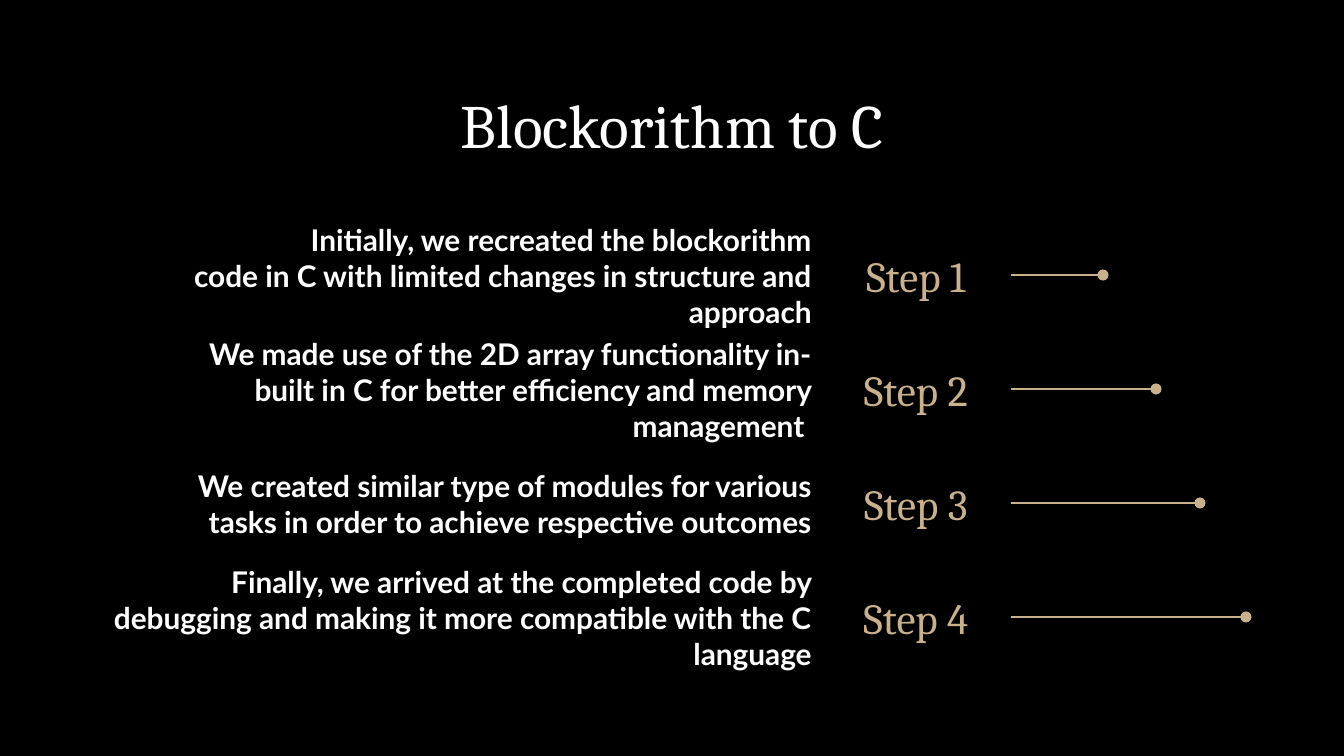
import pptx
import pptx.dml.color
import pptx.enum.shapes
import pptx.enum.text
import pptx.oxml
import pptx.oxml.ns
import pptx.util

PX = 914400 / 134.4  # EMU per px
ALIGN = pptx.enum.text.PP_ALIGN
ANCHOR = pptx.enum.text.MSO_ANCHOR

BLACK, WHITE, GOLD = "000000", "FFFFFF", "C9B18E"

# Layout in px
ROW_PITCH = 114
TEXT_TOP, TEXT_RIGHT, TEXT_HEIGHT = 235, 825, 81
STEP_LEFT, STEP_TOP, STEP_WIDTH, STEP_HEIGHT = 821, 246, 190, 58
LINE_LEFT, LINE_TOP = 1011, 275

# Description, left edge of its box, end of the step's line
STEPS = [
    ("Initially, we recreated the blockorithm\n"
     "code in C with limited changes in structure and approach", 103, 1103),
    ("We made use of the 2D array functionality in-built in C "
     "for better efficiency and memory management ", 152, 1156),
    ("We created similar type of modules for various tasks "
     "in order to achieve respective outcomes", 168, 1200),
    ("Finally, we arrived at the completed code by debugging "
     "and making it more compatible with the C language", 98, 1246),
]


def px(n):
    return pptx.util.Emu(round(n * PX))


def color(value):
    return pptx.dml.color.RGBColor.from_string(value)


def add_text(s, text, left, top, width, height, font, size, fill,
             align=ALIGN.CENTER, anchor=ANCHOR.MIDDLE, bold=False):
    sp = s.shapes.add_textbox(px(left), px(top), px(width), px(height))
    tf = sp.text_frame
    tf.word_wrap = True
    tf.vertical_anchor = anchor
    tf.margin_left = tf.margin_right = pptx.util.Inches(0.1)
    tf.margin_top = tf.margin_bottom = pptx.util.Inches(0.1)
    p = tf.paragraphs[0]
    p.text = text
    p.alignment = align
    p.font.name = font
    p.font.size = pptx.util.Pt(size)
    p.font.bold = bold
    p.font.color.rgb = color(fill)


def add_dotted_end_line(s, left, right, y):
    line = s.shapes.add_connector(pptx.enum.shapes.MSO_CONNECTOR.STRAIGHT,
                                  px(left), px(y), px(right), px(y))
    line.line.color.rgb = color(GOLD)
    line.line.width = pptx.util.Pt(1.5)
    # Round dot at the far end, no shadow
    ln = line.line._get_or_add_ln()
    tail = pptx.oxml.parse_xml(
        f'<a:tailEnd {pptx.oxml.ns.nsdecls("a")} type="oval"/>')
    ln.append(tail)
    effects = pptx.oxml.parse_xml(
        f'<a:effectLst {pptx.oxml.ns.nsdecls("a")}/>')
    line._element.spPr.append(effects)


def add_step(s, i, text, text_left, line_end):
    dy = i * ROW_PITCH
    add_text(s, text, text_left, TEXT_TOP + dy, TEXT_RIGHT - text_left,
             TEXT_HEIGHT, "Lato", 16, WHITE, align=ALIGN.RIGHT, bold=True)
    add_text(s, f"Step {i + 1}", STEP_LEFT, STEP_TOP + dy, STEP_WIDTH,
             STEP_HEIGHT, "Cambria", 23, GOLD)
    add_dotted_end_line(s, LINE_LEFT, line_end, LINE_TOP + dy)


def main():
    prs = pptx.Presentation()
    prs.slide_width, prs.slide_height = px(1344), px(756)
    s = prs.slides.add_slide(prs.slide_layouts[6])
    s.background.fill.solid()
    s.background.fill.fore_color.rgb = color(BLACK)

    # Title
    add_text(s, "Blockorithm to C", 103, 73, 1138, 97, "Cambria", 33, WHITE,
             anchor=ANCHOR.TOP)

    # Steps
    for i, (text, text_left, line_end) in enumerate(STEPS):
        add_step(s, i, text, text_left, line_end)

    prs.save("out.pptx")


if __name__ == "__main__":
    main()
